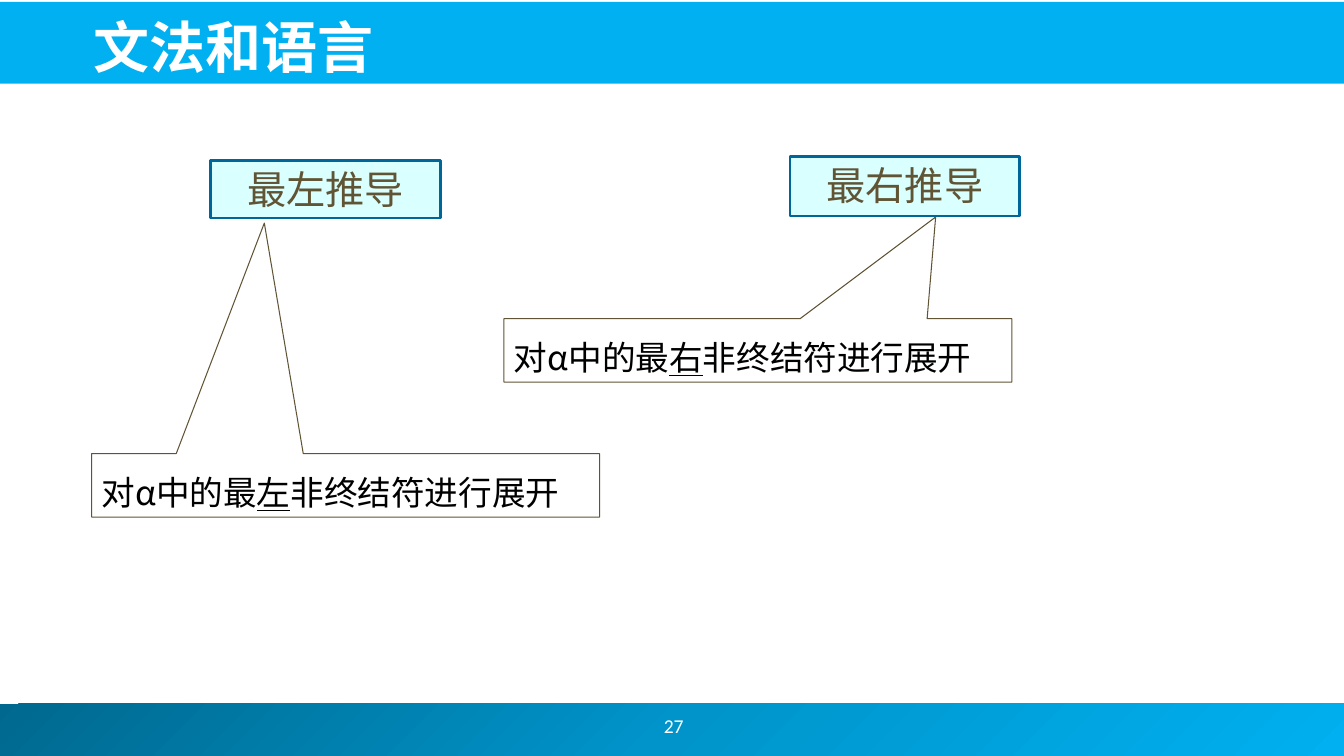
import copy
import dataclasses
import typing

import lxml.etree
import pptx
import pptx.dml.color
import pptx.enum.shapes
import pptx.enum.text
import pptx.oxml.ns
import pptx.util

Cm = pptx.util.Cm
Pt = pptx.util.Pt
Kind = pptx.enum.shapes.MSO_SHAPE
Align = pptx.enum.text.PP_ALIGN
Anchor = pptx.enum.text.MSO_ANCHOR
qn = pptx.oxml.ns.qn

SANS = "Noto Sans CJK SC"
SKY = "00B0F0"
BROWN = "605435"
WHITE = "FFFFFF"


@dataclasses.dataclass
class Label:
    text: str
    left: float
    top: float
    high: float


@dataclasses.dataclass
class Callout:
    side: str
    left: float
    top: float
    tip: typing.Tuple[float, float]


LABELS = [
    Label("最左推导", 5.31, 4.04, 1.45),
    Label("最右推导", 19.91, 3.94, 1.5),
]
CALLOUTS = [
    Callout("左", 2.31, 11.43, (-0.16, -4.13)),
    Callout("右", 12.7, 8.03, (0.35, -2.1)),
]


def color(code: str) -> pptx.dml.color.RGBColor:
    return pptx.dml.color.RGBColor.from_string(code)


def add_run(para, text: str, size: float, face: str, code: str,
            bold: bool = False, under: bool = False) -> None:
    run = para.add_run()
    run.text = text
    font = run.font
    font.size = Pt(size)
    font.bold = bold
    font.underline = under
    font.color.rgb = color(code)
    font.name = face
    east = lxml.etree.Element(qn("a:ea"), typeface=face)
    run._r.rPr.find(qn("a:latin")).addnext(east)


def add_box(slide, kind, left: float, top: float, wide: float, high: float,
            fill: str = "", line: str = "", weight: float = 0):
    box = slide.shapes.add_shape(kind, Cm(left), Cm(top), Cm(wide), Cm(high))
    box.shadow.inherit = False
    if fill:
        box.fill.solid()
        box.fill.fore_color.rgb = color(fill)
    else:
        box.fill.background()
    if line:
        box.line.color.rgb = color(line)
        box.line.width = Pt(weight)
    else:
        box.line.fill.background()
    box.text_frame.word_wrap = True
    return box


def add_bands(slide) -> None:
    foot = add_box(slide, Kind.RECTANGLE, -0.13, 17.73, 34.01, 1.32)
    foot.fill.gradient()
    foot.fill.gradient_angle = 315
    stops = foot._element.spPr.find(".//" + qn("a:gsLst"))
    stops.append(copy.deepcopy(stops[-1]))
    shades = [(0, "00688E"), (0.5, "0094CA"), (1, SKY)]
    for stop, (place, code) in zip(foot.fill.gradient_stops, shades):
        stop.position = place
        stop.color.rgb = color(code)
    add_box(slide, Kind.RECTANGLE, -0.05, 0.05, 33.93, 2.06, SKY)


def add_page(slide) -> None:
    box = slide.shapes.add_textbox(Cm(13.31), Cm(17.65), Cm(7.34), Cm(1.27))
    frame = box.text_frame
    frame.word_wrap = True
    frame.vertical_anchor = Anchor.MIDDLE
    para = frame.paragraphs[0]
    para.alignment = Align.CENTER
    add_run(para, "27", 14, "Calibri", WHITE)


def set_title(slide) -> None:
    title = slide.shapes.title
    slide.shapes._spTree.append(title._element)
    title.left, title.top = Cm(2.11), Cm(0.13)
    title.width, title.height = Cm(30.63), Cm(2.01)
    frame = title.text_frame
    frame.auto_size = pptx.enum.text.MSO_AUTO_SIZE.NONE
    frame.vertical_anchor = Anchor.BOTTOM
    para = frame.paragraphs[0]
    para.alignment = Align.LEFT
    add_run(para, "文法和语言", 40, "Noto Sans CJK JP", WHITE, bold=True)


def add_label(slide, item: Label) -> None:
    box = add_box(slide, Kind.RECTANGLE, item.left, item.top, 5.79, item.high,
                  "D9FFFF", "006699", 1.75)
    frame = box.text_frame
    frame.vertical_anchor = Anchor.TOP
    para = frame.paragraphs[0]
    para.alignment = Align.CENTER
    add_run(para, item.text, 28, SANS, BROWN)


def add_callout(slide, item: Callout) -> None:
    box = add_box(slide, Kind.RECTANGULAR_CALLOUT, item.left, item.top,
                  12.8, 1.6, line=BROWN, weight=0.75)
    for spot, value in enumerate(item.tip):
        box.adjustments[spot] = value
    frame = box.text_frame
    frame.vertical_anchor = Anchor.BOTTOM
    para = frame.paragraphs[0]
    para.alignment = Align.LEFT
    para.line_spacing = 1.3
    for text in ("对α中的最", item.side, "非终结符进行展开"):
        add_run(para, text, 24, SANS, "000000", under=text == item.side)


def main() -> None:
    deck = pptx.Presentation()
    deck.slide_width, deck.slide_height = Cm(33.87), Cm(19.05)
    slide = deck.slides.add_slide(deck.slide_layouts[5])
    add_bands(slide)
    add_page(slide)
    set_title(slide)
    for item in LABELS:
        add_label(slide, item)
    for item in CALLOUTS:
        add_callout(slide, item)
    deck.save("out.pptx")


if __name__ == "__main__":
    main()
